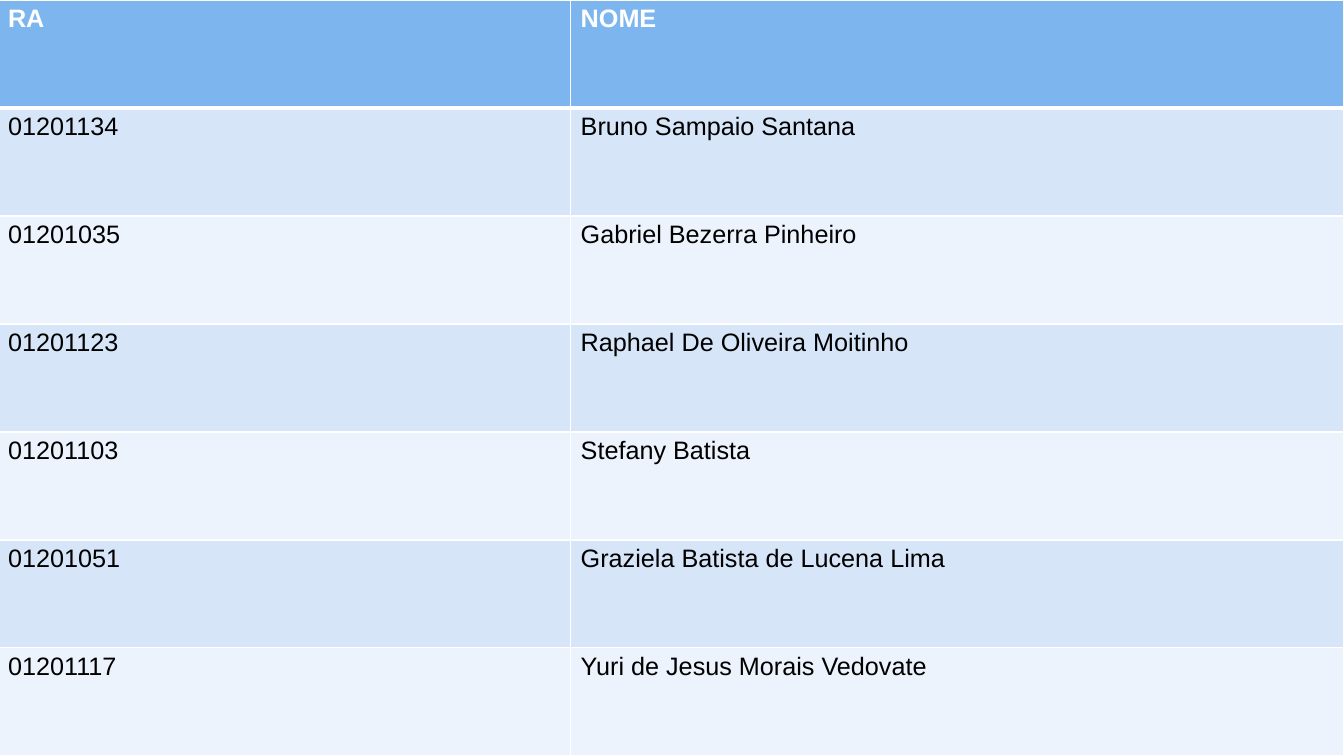
"""Build a slide with a full-page table of student numbers and names."""
import dataclasses

import lxml.etree
import pptx
import pptx.dml.color
import pptx.oxml.ns
import pptx.table
import pptx.util

Inches = pptx.util.Inches
RGBColor = pptx.dml.color.RGBColor

WHITE = RGBColor(0xFF, 0xFF, 0xFF)
BLACK = RGBColor(0x00, 0x00, 0x00)
HEADER_BLUE = RGBColor(0x7D, 0xB6, 0xEF)
BAND_DARK = RGBColor(0xD7, 0xE5, 0xF9)
BAND_LIGHT = RGBColor(0xEC, 0xF3, 0xFC)

SLIDE_WIDTH = Inches(13.33)
SLIDE_HEIGHT = Inches(7.5)
TABLE_LEFT = Inches(-0.02)
COLUMN_WIDTHS = (Inches(5.68), Inches(7.67))
THIN = pptx.util.Pt(1)
THICK = pptx.util.Pt(3)


@dataclasses.dataclass(frozen=True)
class Student:
    """One table row: the student number and the name."""
    number: str
    name: str


@dataclasses.dataclass(frozen=True)
class RowStyle:
    """Fill, text format and rule widths of a table row."""
    fill: RGBColor
    color: RGBColor = BLACK
    bold: bool = False
    top: int = THIN
    bottom: int = THIN


HEADING = Student("RA", "NOME")
STUDENTS = (
    Student("01201134", "Bruno Sampaio Santana"),
    Student("01201035", "Gabriel Bezerra Pinheiro"),
    Student("01201123", "Raphael De Oliveira Moitinho"),
    Student("01201103", "Stefany Batista"),
    Student("01201051", "Graziela Batista de Lucena Lima"),
    Student("01201117", "Yuri de Jesus Morais Vedovate"),
)


def row_style(index: int) -> RowStyle:
    """Return the header style or the alternating band style."""
    if index == 0:
        return RowStyle(HEADER_BLUE, WHITE, bold=True, bottom=THICK)
    return RowStyle(BAND_DARK if index % 2 else BAND_LIGHT,
                    top=THICK if index == 1 else THIN)


def add_borders(cell: pptx.table._Cell, style: RowStyle) -> None:
    """Draw white rules on the four sides of a cell."""
    qn = pptx.oxml.ns.qn
    properties = cell._tc.get_or_add_tcPr()
    widths = {"a:lnL": THIN, "a:lnR": THIN, "a:lnT": style.top, "a:lnB": style.bottom}
    for tag, width in widths.items():
        line = lxml.etree.SubElement(properties, qn(tag), w=str(int(width)))
        fill = lxml.etree.SubElement(line, qn("a:solidFill"))
        lxml.etree.SubElement(fill, qn("a:srgbClr"), val=str(WHITE))


def fill_cell(cell: pptx.table._Cell, text: str, style: RowStyle) -> None:
    """Write and format one cell."""
    add_borders(cell, style)
    cell.fill.solid()
    cell.fill.fore_color.rgb = style.fill
    span = cell.text_frame.paragraphs[0].add_run()
    span.text = text
    span.font.color.rgb = style.color
    formats = {"name": "Arial", "size": pptx.util.Pt(18), "bold": style.bold}
    for attribute, value in formats.items():
        setattr(span.font, attribute, value)


def main() -> None:
    """Create the deck and save it."""
    deck = pptx.Presentation()
    deck.slide_width, deck.slide_height = SLIDE_WIDTH, SLIDE_HEIGHT
    page = deck.slides.add_slide(deck.slide_layouts.get_by_name("Blank"))
    records = (HEADING, *STUDENTS)
    table = page.shapes.add_table(
        len(records), len(COLUMN_WIDTHS), TABLE_LEFT, Inches(0),
        sum(COLUMN_WIDTHS), SLIDE_HEIGHT).table
    for column, width in zip(table.columns, COLUMN_WIDTHS):
        column.width = width
    for index, (row, record) in enumerate(zip(table.rows, records)):
        for cell, text in zip(row.cells, dataclasses.astuple(record)):
            fill_cell(cell, text, row_style(index))
    deck.save("out.pptx")


main()
